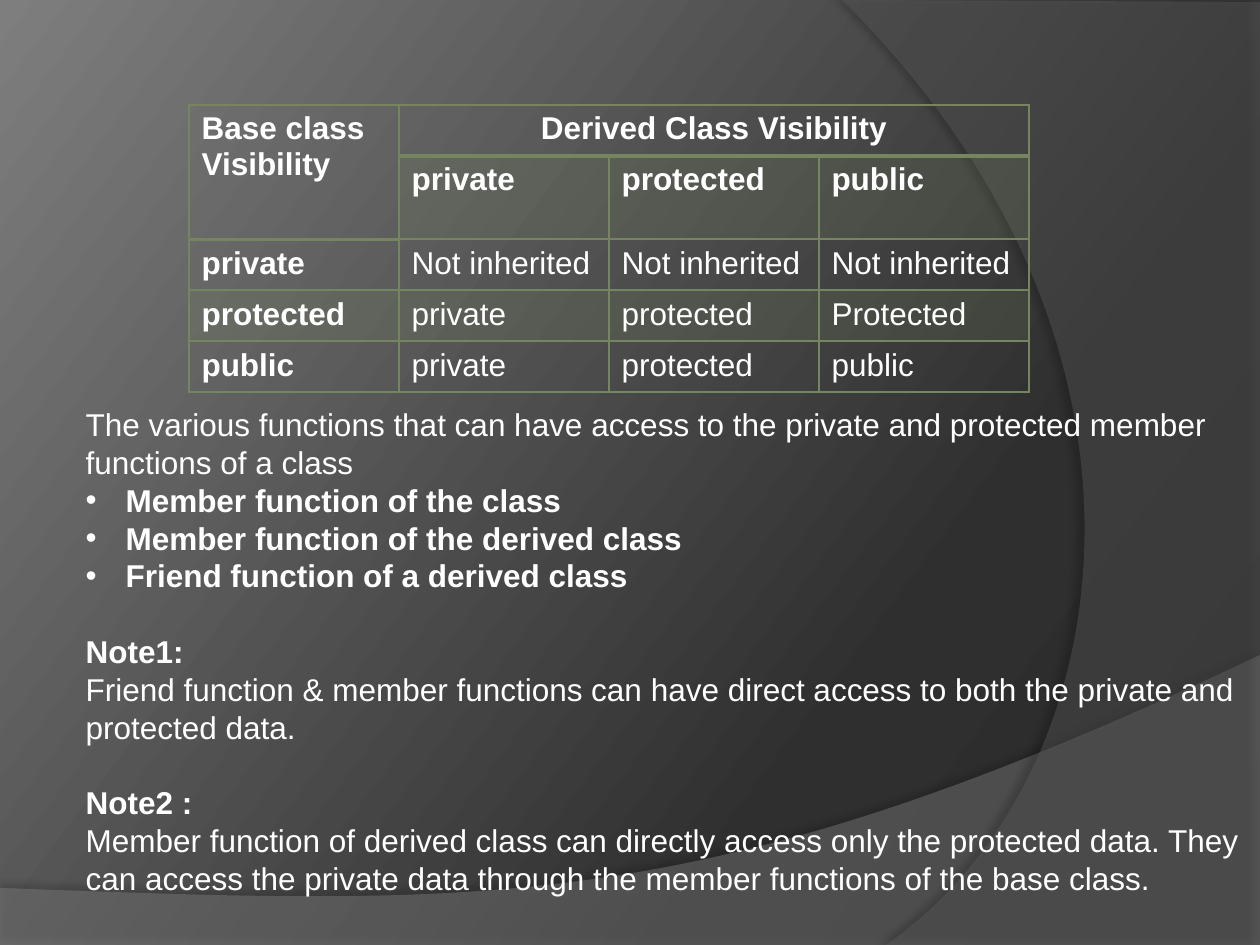
"""Build a slide on derived class visibility: a table above explanatory notes."""
from copy import deepcopy

from lxml.etree import SubElement
from pptx import Presentation
from pptx.dml.color import RGBColor
from pptx.enum.text import MSO_ANCHOR, MSO_AUTO_SIZE as AutoSize, PP_ALIGN
from pptx.oxml.ns import qn
from pptx.util import Emu, Pt

SCALE = 914400 / 126
FONT = "Arial"
WHITE = RGBColor(0xFF, 0xFF, 0xFF)
BLACK = RGBColor(0x00, 0x00, 0x00)
OLIVE = RGBColor(0x74, 0x85, 0x60)
WAVE_GREY = RGBColor(0x7F, 0x7F, 0x7F)
ARC_GREY = RGBColor(0x5E, 0x5E, 0x5E)
BACKDROP = [
    (0, RGBColor(0x28, 0x28, 0x28)),
    (0.3, RGBColor(0x2F, 0x2F, 0x2F)),
    (1, RGBColor(0x7E, 0x7E, 0x7E)),
]

HEADER_ROWS = 2
ROW_HEIGHTS = [51, 83, 51, 51, 51]
ROWS = [
    ["Base class\nVisibility", "Derived Class Visibility", "", ""],
    ["", "private", "protected", "public"],
    ["private", "Not inherited", "Not inherited", "Not inherited"],
    ["protected", "private", "protected", "Protected"],
    ["public", "private", "protected", "public"],
]
NOTES = [
    ("The various functions that can have access to the private and protected "
     "member functions of a class", {}),
    ("Member function of the class", {"bold": True, "bullet": True}),
    ("Member function of the derived class", {"bold": True, "bullet": True}),
    ("Friend function of a derived class", {"bold": True, "bullet": True}),
    ("Note1:", {"bold": True, "before": 21.6}),
    ("Friend function & member functions can have direct access to both the "
     "private and protected data.", {}),
    ("Note2 :", {"bold": True, "before": 21.6}),
    ("Member function of derived class can directly access only the protected "
     "data. They can access the private data through the member functions of "
     "the base class.", {}),
]


def px(n):
    """Turn pixels into EMU."""
    return Emu(round(n * SCALE))


def write(p, text, bold=False, align=PP_ALIGN.LEFT, bullet=None, before=0):
    """Fill a paragraph with formatted text; bullet=None leaves bullets alone."""
    p.alignment, p.line_spacing = align, 1.0
    p.space_before, p.space_after = Pt(before), Pt(0)
    if bullet is not None:
        pPr = p._p.get_or_add_pPr()
        indent = px(40) if bullet else 0
        pPr.set("marL", str(indent))
        pPr.set("indent", str(-indent))
        if bullet:
            SubElement(pPr, qn("a:buFont"), typeface=FONT)
            SubElement(pPr, qn("a:buChar"), char="•")
        else:
            SubElement(pPr, qn("a:buNone"))
    r = p.add_run()
    r.text = text
    r.font.name, r.font.size, r.font.bold = FONT, Pt(18), bold
    r.font.color.rgb = WHITE


def add_color(parent, color, alpha=100):
    """Append an RGB colour with opacity in percent."""
    clr = SubElement(parent, qn("a:srgbClr"), val=str(color))
    SubElement(clr, qn("a:alpha"), val=str(alpha * 1000))


def fill_alpha(fill, color, alpha):
    """Set a solid fill with opacity in percent."""
    fill.solid()
    add_color(fill._xPr.find(qn("a:solidFill")), color, alpha)


def paint_background(s):
    """Give the slide its three-stop diagonal gradient."""
    fill = s.background.fill
    fill.gradient()
    fill.gradient_angle = 143
    first = fill._fill._gradFill.gsLst[0]
    first.addnext(deepcopy(first))
    for stop, (position, color) in zip(fill.gradient_stops, BACKDROP):
        stop.position = position
        stop.color.rgb = color


def add_swoosh(s, left, top, corners, curve, color, alpha, shadow):
    """Draw a translucent shape with straight corners and one curved edge."""
    points = [(px(x), px(y)) for x, y in corners + curve]
    builder = s.shapes.build_freeform(*points[0], scale=1.0)
    builder.add_line_segments(points[1:], close=True)
    sp = builder.convert_to_shape(px(left), px(top))
    lines = list(sp._element.iter(qn("a:lnTo")))[-len(curve):]
    bezier = lines[0].makeelement(qn("a:cubicBezTo"))
    lines[0].addprevious(bezier)
    for line in lines:
        bezier.append(line[0])
        line.getparent().remove(line)
    fill_alpha(sp.fill, color, alpha)
    sp.line.fill.background()
    sp.shadow.inherit = False
    opacity, blur, dist, angle = shadow
    outer = SubElement(sp._element.spPr.find(qn("a:effectLst")), qn("a:outerShdw"),
                       blurRad=str(Pt(blur)), dist=str(Pt(dist)),
                       dir=str(angle * 60000), algn="ctr", rotWithShape="0")
    add_color(outer, BLACK, opacity)


def set_borders(cell, widths):
    """Draw the left, right, top and bottom cell lines in the given points."""
    tcPr = cell._tc.get_or_add_tcPr()
    for side, width in zip("LRTB", widths):
        ln = SubElement(tcPr, qn(f"a:ln{side}"), w=str(Pt(width)))
        add_color(SubElement(ln, qn("a:solidFill")), OLIVE)


def add_visibility_table(s, left, top, width):
    """Place the table of inherited visibility with merged headers."""
    n_cols = len(ROWS[0])
    table = s.shapes.add_table(len(ROWS), n_cols, px(left), px(top), px(width),
                               px(sum(ROW_HEIGHTS))).table
    table.first_row = table.horz_banding = False
    for col in table.columns:
        col.width = px(width / n_cols)
    for row, height in zip(table.rows, ROW_HEIGHTS):
        row.height = px(height)
    table.cell(0, 0).merge(table.cell(1, 0))
    table.cell(0, 1).merge(table.cell(0, n_cols - 1))
    for i, texts in enumerate(ROWS):
        for j, text in enumerate(texts):
            cell = table.cell(i, j)
            header_end = HEADER_ROWS if j == 0 else 1
            set_borders(cell, (1, 1, 2 if i == header_end else 1,
                               2 if i < header_end else 1))
            if i % 2 and not cell.is_spanned:
                fill_alpha(cell.fill, OLIVE, 20)
            else:
                cell.fill.background()
            if cell.is_spanned:
                continue
            align = PP_ALIGN.CENTER if cell.span_width > 1 else PP_ALIGN.LEFT
            tf = cell.text_frame
            for k, line in enumerate(text.split("\n")):
                p = tf.add_paragraph() if k else tf.paragraphs[0]
                write(p, line, bold=i < HEADER_ROWS or j == 0, align=align)


def place_notes(s, left, top, width, height):
    """Fill the body placeholder with the access rules and notes."""
    body = s.placeholders[1]
    body.left, body.top, body.width, body.height = map(px, (left, top, width, height))
    s.shapes._spTree.append(body._element)
    tf = body.text_frame
    tf.word_wrap, tf.auto_size = True, AutoSize.SHAPE_TO_FIT_TEXT
    tf.vertical_anchor = MSO_ANCHOR.TOP
    for k, (text, style) in enumerate(NOTES):
        p = tf.add_paragraph() if k else tf.paragraphs[0]
        write(p, text, **{"bullet": False, **style})


def main():
    """Assemble and save the slide."""
    prs = Presentation()
    prs.slide_width, prs.slide_height = px(1260), px(945)
    s = prs.slides.add_slide(prs.slide_layouts[1])
    title = s.shapes.title._element
    title.getparent().remove(title)
    paint_background(s)
    add_swoosh(s, 0, 655, [(0, 233), (0, 291), (1260, 291), (1260, 0)],
               [(704, 264), (493, 251), (0, 233)], WAVE_GREY, 45, (35, 4, 3.5, 270))
    add_swoosh(s, 842, 0, [(418, 2), (418, 945), (44, 945)],
               [(281, 780), (351, 347), (0, 0)], ARC_GREY, 40, (45, 4, 4, 180))
    add_visibility_table(s, 189, 105, 840)
    place_notes(s, 73, 399, 1197, 509)
    prs.save("out.pptx")


if __name__ == "__main__":
    main()
